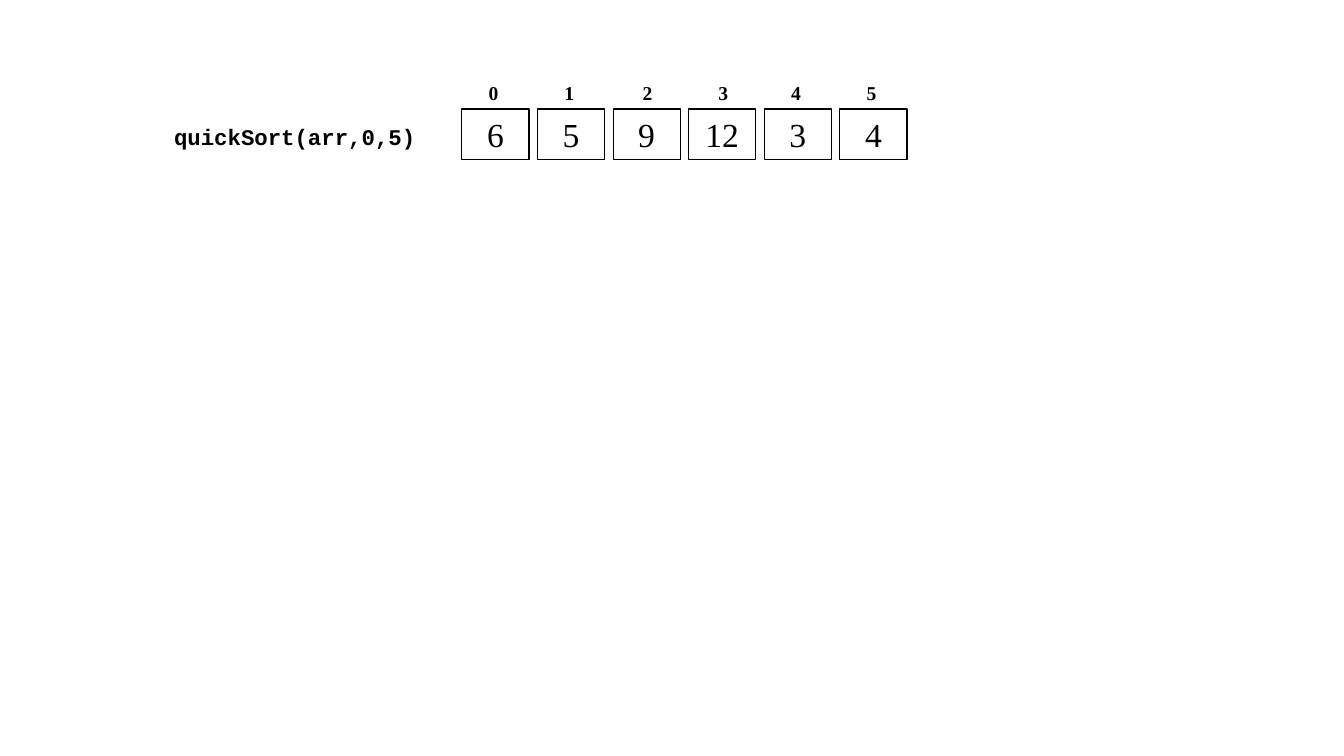
from pptx import Presentation
from pptx.dml.color import RGBColor
from pptx.enum.shapes import MSO_SHAPE
from pptx.enum.text import MSO_ANCHOR, MSO_AUTO_SIZE, PP_ALIGN
from pptx.util import Pt

RECTANGLE = MSO_SHAPE.RECTANGLE
MIDDLE, TOP = MSO_ANCHOR.MIDDLE, MSO_ANCHOR.TOP
CENTER, LEFT = PP_ALIGN.CENTER, PP_ALIGN.LEFT
GROW = MSO_AUTO_SIZE.SHAPE_TO_FIT_TEXT

BLACK = "000000"
SERIF = "Times New Roman"
MONO = "Courier New"

VALUES = [6, 5, 9, 12, 3, 4]
CELL_LEFT, CELL_TOP, CELL_WIDTH, CELL_HEIGHT = 329.9, 77.9, 48, 36.4
CELL_PITCH = 54
INDEX_LEFT, INDEX_TOP = 342, 54
INDEX_SHIFT = {2: 2, 3: 2}  # the two middle indices sit slightly to the right


def color(value):
    return RGBColor.from_string(value)


def write(box, text, font=SERIF, size=14, bold=False, align=LEFT, anchor=TOP, wrap=False):
    frame = box.text_frame
    frame.word_wrap = wrap
    frame.auto_size = GROW
    frame.vertical_anchor = anchor
    para = frame.paragraphs[0]
    para.alignment = align
    span = para.add_run()
    span.text = text
    span.font.name = font
    span.font.size = Pt(size)
    span.font.bold = bold
    span.font.color.rgb = color(BLACK)


class ArraySlide:
    def __init__(self, page):
        self.page = page

    def cell(self, left, top, width, height, text):
        box = self.page.shapes.add_shape(RECTANGLE, Pt(left), Pt(top), Pt(width), Pt(height))
        box.shadow.inherit = False
        box.fill.background()
        box.line.color.rgb = color(BLACK)
        box.line.width = Pt(0.75)
        write(box, text, size=24, align=CENTER, anchor=MIDDLE, wrap=True)

    def label(self, left, top, width, height, text, **style):
        box = self.page.shapes.add_textbox(Pt(left), Pt(top), Pt(width), Pt(height))
        write(box, text, bold=True, **style)


def main():
    deck = Presentation()
    deck.slide_width, deck.slide_height = Pt(960), Pt(540)
    slide = ArraySlide(deck.slides.add_slide(deck.slide_layouts[6]))

    # Array cells
    for index, value in enumerate(VALUES):
        slide.cell(CELL_LEFT + index * CELL_PITCH, CELL_TOP, CELL_WIDTH, CELL_HEIGHT, str(value))

    # Indices above the cells
    for index in range(len(VALUES)):
        left = INDEX_LEFT + index * CELL_PITCH + INDEX_SHIFT.get(index, 0)
        slide.label(left, INDEX_TOP, 21.4, 24, str(index))

    # Function call
    slide.label(117.2, 84.2, 187.8, 26.6, "quickSort(arr,0,5)", font=MONO, size=16)

    deck.save("out.pptx")


if __name__ == "__main__":
    main()
